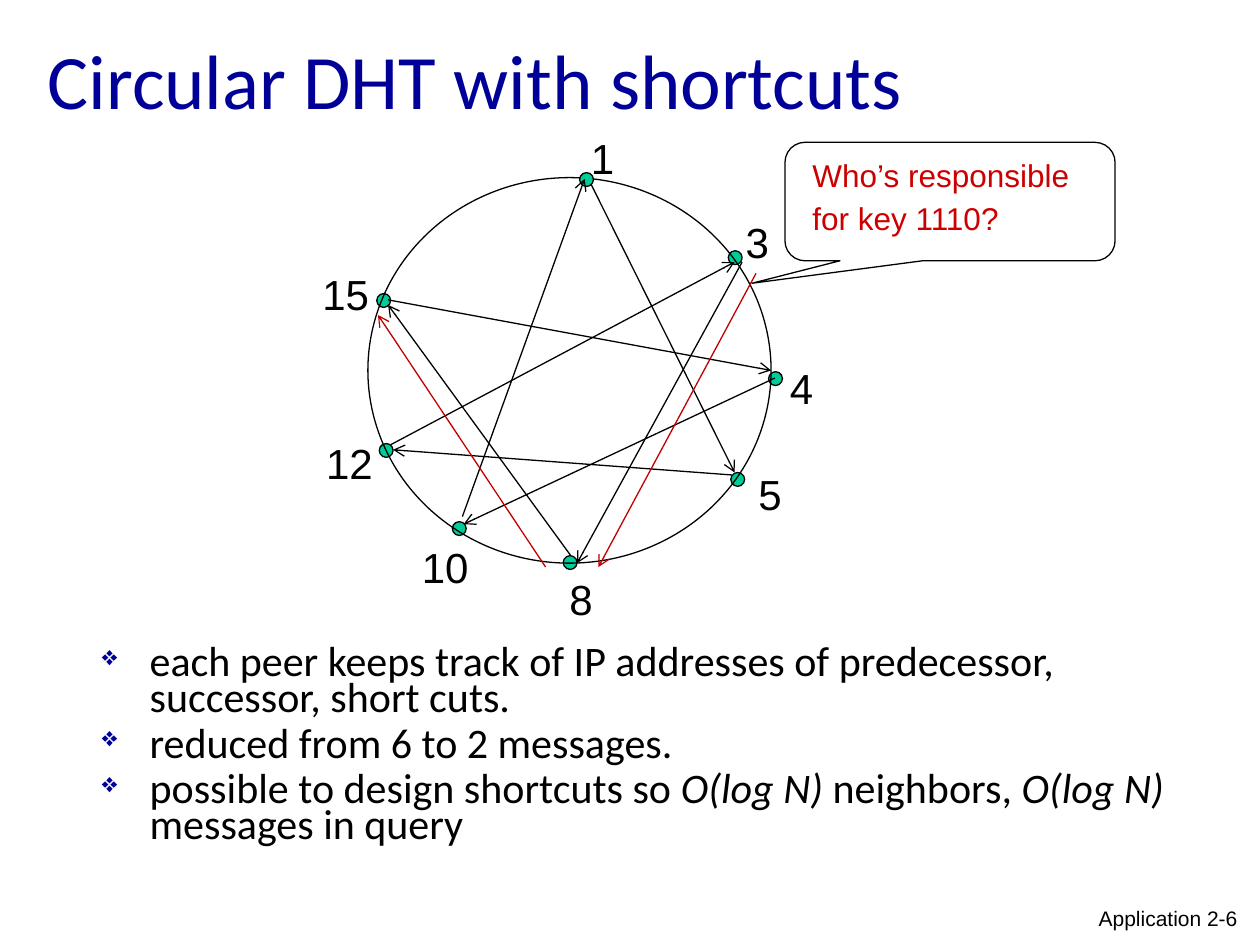
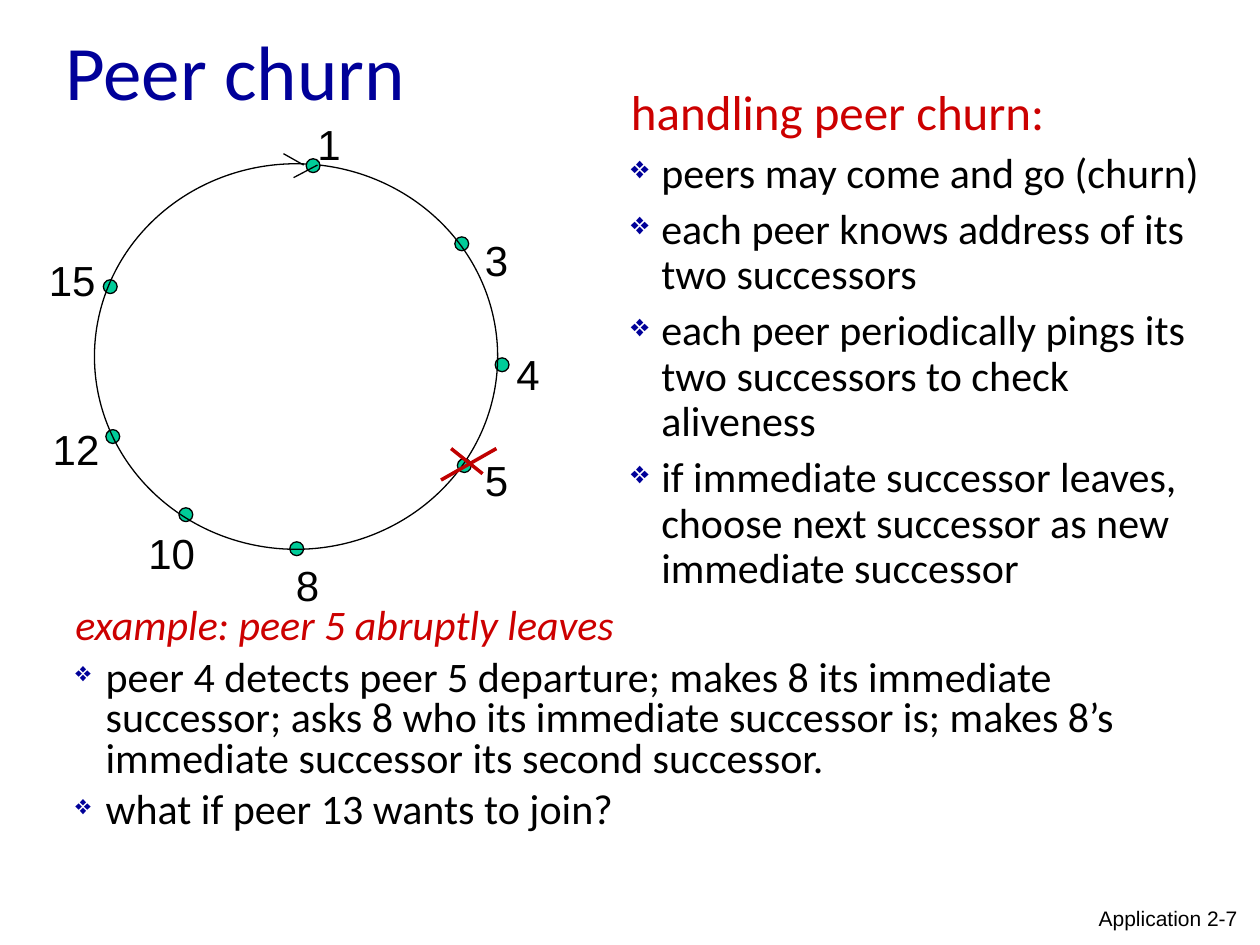
from lxml import etree
from pptx import Presentation
from pptx import util as u
from pptx.dml.color import RGBColor
from pptx.enum import shapes as kinds, text as txt
from pptx.oxml import ns

PX = 9144
NAVY, RED, CRIMSON, GREEN, BLACK = "000099", "CC0000", "C00000", "00CC99", "000000"
RING = (320, 306)
DOT = 11
PEERS = {
    "3": ((286, 58), (300, 51)),
    "4": ((318, 154), (325, 142)),
    "5": ((288, 234), (300, 226)),
    "8": ((155, 300), (150, 309)),
    "10": ((67, 273), (33, 284)),
    "12": ((9, 211), (-43, 201)),
    "15": ((7, 92), (-46, 67)),
    "1": ((168, -4), (167, -41)),
}
LINKS = [
    (615, 300, 368, 416), (581, 377, 312, 357), (453, 441, 308, 242),
    (367, 410, 464, 142), (310, 353, 583, 208), (308, 238, 612, 294),
    (469, 146, 583, 375), (589, 208, 458, 447),
]
ROUTE = [(600, 217, 475, 450), (433, 450, 300, 250)]
TIP = [(225, 122, 241, 131), (252, 131, 233, 141)]
CROSS = [(358, 356, 383, 376), (394, 356, 350, 381)]


def px(*nums):
    return [u.Emu(n * PX) for n in nums]


def rgb(code):
    return RGBColor.from_string(code)


def put(item, form):
    for key, val in form.items():
        setattr(item, key, val)


def sub(node, tag, **attrs):
    return etree.SubElement(node, ns.qn("a:" + tag), attrs)


def bullet(para, size, hang):
    props = para._p.get_or_add_pPr()
    props.set("marL", str(hang * PX))
    props.set("indent", str(-hang * PX))
    sub(sub(props, "buClr"), "srgbClr", val=NAVY)
    sub(props, "buSzPct", val=str(size * 1000))
    sub(props, "buChar", char="❖")


def style(face, size, color=BLACK, mark=None, italic=False, **form):
    font = {"name": face, "size": u.Pt(size), "italic": italic}
    return {"font": font, "color": color, "mark": mark, "form": form}


def fill(para, words, look):
    if look["mark"]:
        bullet(para, *look["mark"])
    put(para, look["form"])
    for row, line in enumerate(words.split("\n")):
        if row:
            para.add_line_break()
        for turn, part in enumerate(line.split("*")):
            run = para.add_run()
            run.text = part
            put(run.font, look["font"])
            run.font.color.rgb = rgb(look["color"])
            if turn % 2:
                run.font.italic = True


def write(pool, box, paras, **form):
    frame = pool.add_textbox(*px(*box)).text_frame
    put(frame, {"word_wrap": True, **form})
    for spot, (words, look) in enumerate(paras):
        para = frame.add_paragraph() if spot else frame.paragraphs[0]
        fill(para, words, look)
        if not spot:
            para.space_before = u.Pt(0)


def shape(pool, kind, box, color=None):
    item = pool.add_shape(kind, *px(*box))
    item.shadow.inherit = False
    if color:
        item.fill.solid()
        item.fill.fore_color.rgb = rgb(color)
    else:
        item.fill.background()
    item.line.color.rgb = rgb(BLACK)
    item.line.width = u.Pt(0.75)
    return item


def lines(pool, ends, color=BLACK, width=0.75, arrow=False):
    for end in ends:
        item = pool.add_connector(kinds.MSO_CONNECTOR.STRAIGHT, *px(*end))
        item.line.color.rgb = rgb(color)
        item.line.width = u.Pt(width)
        if arrow:
            sub(item.line._get_or_add_ln(), "tailEnd", type="arrow")
        sub(item._element.spPr, "effectLst")


def ring(slide, left, top, moved={}):
    pool = slide.shapes.add_group_shape().shapes
    oval = kinds.MSO_SHAPE.OVAL
    look = style("Arial", 24)
    for name, (dot, label) in PEERS.items():
        if name == "1":
            shape(pool, oval, (left, top, *RING))
        shape(pool, oval, (left + dot[0], top + dot[1], DOT, DOT), GREEN)
        dx, dy = moved.get(name, label)
        wide = 38 if len(name) == 1 else 57
        write(pool, (left + dx, top + dy, wide, 50), [(name, look)],
              word_wrap=False, auto_size=txt.MSO_AUTO_SIZE.SHAPE_TO_FIT_TEXT)
    return pool


def page(deck, head, box, num):
    slide = deck.slides.add_slide(deck.slide_layouts[6])
    write(slide.shapes, box, [(head, style("Calibri", 44, NAVY))],
          vertical_anchor=txt.MSO_ANCHOR.MIDDLE)
    foot = style("Arial", 12, alignment=txt.PP_ALIGN.RIGHT)
    write(slide.shapes, (833, 714, 159, 31), [(f"Application {num}", foot)])
    return slide


def short(deck):
    slide = page(deck, "Circular DHT with shortcuts", (28, 0, 900, 125), "2-6")
    pool = slide.shapes
    item = style("Calibri", 24, mark=(65, 38), line_spacing=0.7, space_before=u.Pt(6))
    write(pool, (71, 510, 900, 183), [(words, item) for words in (
        "each peer keeps track of IP addresses of predecessor, successor, short cuts.",
        "reduced from 6 to 2 messages.",
        "possible to design shortcuts so *O(log N) *neighbors, *O(log N) *messages in query",
    )])
    lines(ring(slide, 292, 141, {"3": (290, 26)}), LINKS, arrow=True)
    lines(pool, ROUTE, CRIMSON, arrow=True)
    call = shape(pool, kinds.MSO_SHAPE.ROUNDED_RECTANGULAR_CALLOUT, (623, 113, 262, 94))
    for spot, val in enumerate((-0.6, 0.69, 0.17)):
        call.adjustments[spot] = val
    ask = style("Arial", 18, RED, line_spacing=u.Pt(20), space_before=u.Pt(4.5))
    write(pool, (635, 121, 260, 72), [("Who’s responsible", ask), ("for key 1110?", ask)])


def churn(deck):
    slide = page(deck, "Peer churn", (42, 0, 900, 111), "2-7")
    pool = slide.shapes
    gap = {"line_spacing": 0.8, "space_before": u.Pt(6.5)}
    item = style("Calibri", 24, mark=(65, 24), **gap)
    write(pool, (50, 478, 900, 233), [
        ("example: peer 5 abruptly leaves", style("Calibri", 24, RED, italic=True, **gap)),
        ("peer 4 detects peer 5 departure; makes 8 its immediate successor; asks 8 who its "
         "immediate successor is; makes 8’s immediate successor its second successor.", item),
        ("what if peer 13 wants to join?", item),
    ])
    ring(slide, 75, 130)
    lines(pool, TIP)
    lines(pool, CROSS, CRIMSON, 2)
    item = style("Calibri", 24, mark=(75, 24), line_spacing=u.Pt(26), space_before=u.Pt(6))
    write(pool, (491, 60, 484, 572), [
        ("handling peer churn:", style("Calibri", 28, RED)),
        ("peers may come and go (churn)", item),
        ("each peer knows address of its two successors", item),
        ("each peer periodically pings its \ntwo successors to check aliveness", item),
        ("if immediate successor leaves, choose next successor as new immediate successor", item),
    ])


def main():
    deck = Presentation()
    deck.slide_width, deck.slide_height = px(1000, 750)
    short(deck)
    churn(deck)
    deck.save("out.pptx")


if __name__ == "__main__":
    main()
